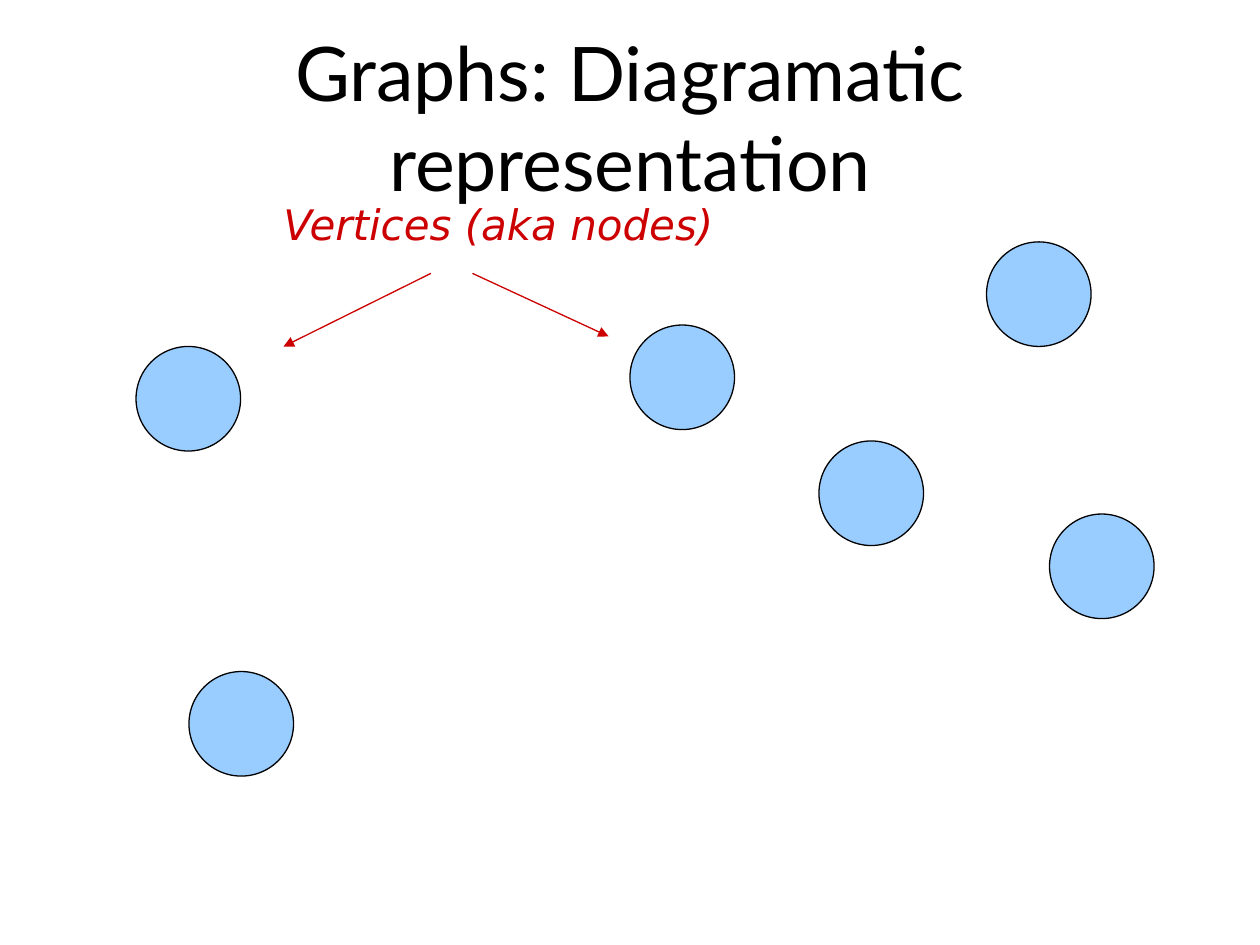
from lxml import etree
from pptx import Presentation
from pptx.dml.color import RGBColor
from pptx.enum.shapes import MSO_CONNECTOR, MSO_SHAPE
from pptx.enum.text import MSO_ANCHOR, MSO_AUTO_SIZE, PP_ALIGN
from pptx.oxml.ns import qn
from pptx.util import Inches, Pt

OVAL = MSO_SHAPE.OVAL
STRAIGHT = MSO_CONNECTOR.STRAIGHT
MIDDLE = MSO_ANCHOR.MIDDLE
CENTER = PP_ALIGN.CENTER
NO_FIT = MSO_AUTO_SIZE.NONE
FIT_SHAPE = MSO_AUTO_SIZE.SHAPE_TO_FIT_TEXT
TITLE_ONLY = 5

BLACK, BLUE, RED = "000000", "99CCFF", "CC0000"
VERTEX_SIZE = 0.83
LINE_WIDTH = Pt(0.75)

VERTICES = [(6.5, 3.5), (7.83, 1.92), (8.33, 4.08),
            (5, 2.58), (1.5, 5.33), (1.08, 2.75)]
ARROWS = [((3.42, 2.17), (2.25, 2.75)), ((3.75, 2.17), (4.83, 2.67))]


def color(value):
    return RGBColor.from_string(value)


def style_line(line, value):
    line.color.rgb = color(value)
    line.width = LINE_WIDTH


def style_text(paragraph, font_name, size, value, italic=False):
    font = paragraph.runs[0].font
    font.name = font_name
    font.size = Pt(size)
    font.italic = italic
    font.color.rgb = color(value)


def set_title(slide, text):
    title = slide.shapes.title
    title.left, title.top = Inches(0.5), Inches(0.3)
    title.width, title.height = Inches(9), Inches(1.25)
    text_frame = title.text_frame
    text_frame.text = text
    text_frame.auto_size = NO_FIT
    text_frame.vertical_anchor = MIDDLE
    paragraph = text_frame.paragraphs[0]
    paragraph.alignment = CENTER
    style_text(paragraph, "Lato", 43, BLACK)


def add_vertex(shapes, left, top):
    vertex = shapes.add_shape(OVAL, Inches(left), Inches(top),
                              Inches(VERTEX_SIZE), Inches(VERTEX_SIZE))
    vertex.shadow.inherit = False
    vertex.fill.solid()
    vertex.fill.fore_color.rgb = color(BLUE)
    style_line(vertex.line, BLACK)


def add_label(shapes, text, left, top, width, height):
    label = shapes.add_textbox(Inches(left), Inches(top),
                               Inches(width), Inches(height))
    text_frame = label.text_frame
    text_frame.text = text
    text_frame.word_wrap = False
    text_frame.auto_size = FIT_SHAPE
    style_text(text_frame.paragraphs[0], "DejaVu Sans", 24, RED, italic=True)


def add_arrow(shapes, start, end):
    arrow = shapes.add_connector(STRAIGHT, *map(Inches, start + end))
    style_line(arrow.line, RED)
    # Arrowhead at the end point, and no theme shadow
    etree.SubElement(arrow.line._get_or_add_ln(), qn("a:tailEnd"), type="triangle")
    etree.SubElement(arrow._element.spPr, qn("a:effectLst"))


def main():
    presentation = Presentation()
    presentation.slide_width = Inches(10)
    presentation.slide_height = Inches(7.5)
    slide = presentation.slides.add_slide(presentation.slide_layouts[TITLE_ONLY])
    set_title(slide, "Graphs: Diagramatic representation")

    # Graph vertices
    for left, top in VERTICES:
        add_vertex(slide.shapes, left, top)

    # Callout: label with arrows to two vertices
    callout = slide.shapes.add_group_shape()
    add_label(callout.shapes, "Vertices (aka nodes)", 2.15, 1.53, 3.67, 0.5)
    for start, end in ARROWS:
        add_arrow(callout.shapes, start, end)

    presentation.save("out.pptx")


if __name__ == "__main__":
    main()
